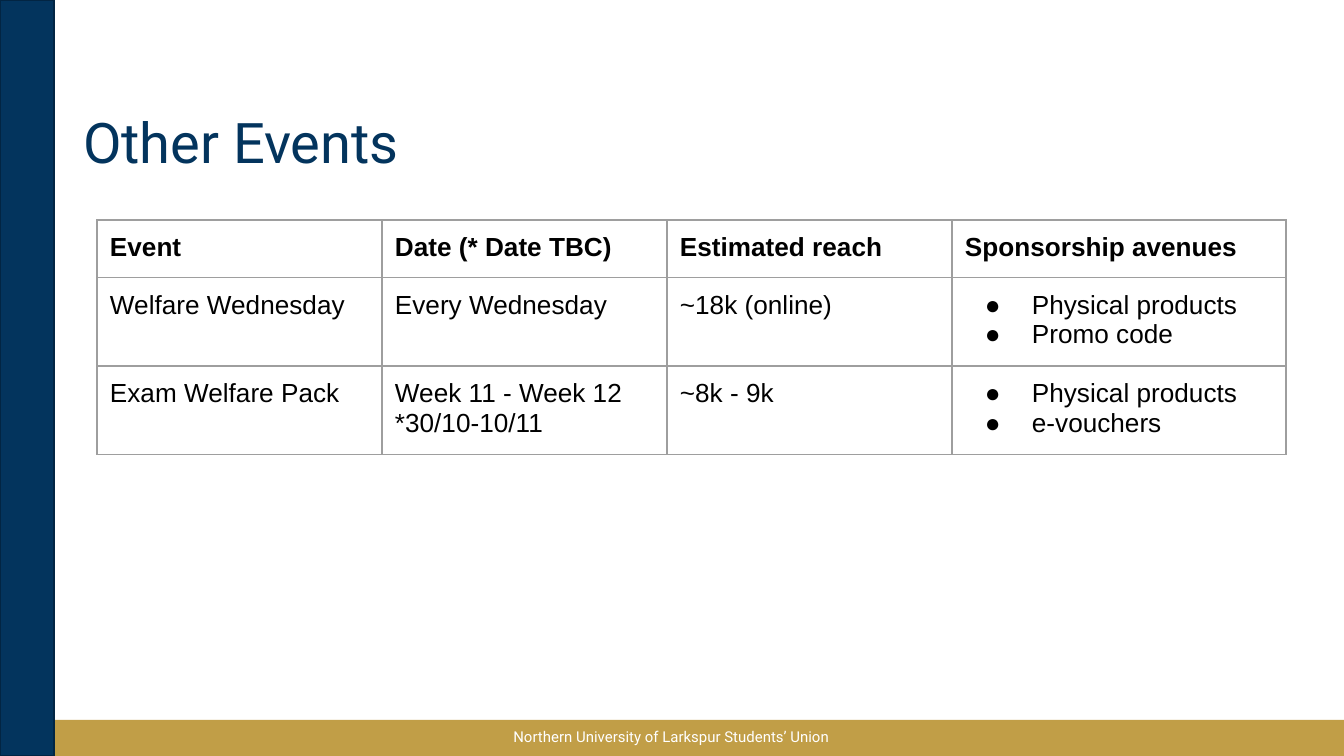
import pptx
import pptx.dml.color
import pptx.enum.shapes
import pptx.enum.text
import pptx.oxml.ns
import pptx.util
from lxml import etree

# Content
TITLE = "Other Events"
FOOTER = "Northern University of Larkspur Students’ Union"
HEADINGS = ["Event", "Date (* Date TBC)", "Estimated reach", "Sponsorship avenues"]
EVENTS = [
    (["Welfare Wednesday"], ["Every Wednesday"], ["~18k (online)"],
     ["Physical products", "Promo code"]),
    (["Exam Welfare Pack"], ["Week 11 - Week 12", "*30/10-10/11"], ["~8k - 9k"],
     ["Physical products", "e-vouchers"]),
]
AVENUES_COLUMN = 3

COLORS = {"navy": "03345D", "navy_edge": "022543", "gold": "C19E47",
          "white": "FFFFFF", "black": "000000", "grid": "9E9E9E"}

# Layout in px
SLIDE_W, SLIDE_H = 1344, 756
SIDEBAR_W = 54
FOOTER_TOP = 720
COLUMN_WIDTHS = [285, 285, 285, 334]
ROW_HEIGHTS = [56, 86, 86]
CELL_MARGIN = 13
BULLET_INDENT, BULLET_HANG = 67, 47
EMU_PER_PX = 914400 / 134.4


def px(length):
    return pptx.util.Emu(round(length * EMU_PER_PX))


def rgb(name):
    return pptx.dml.color.RGBColor.from_string(COLORS[name])


def set_bullet(paragraph):
    props = paragraph._p.get_or_add_pPr()
    props.set("marL", str(px(BULLET_INDENT)))
    props.set("indent", str(-px(BULLET_HANG)))
    color = etree.SubElement(props, pptx.oxml.ns.qn("a:buClr"))
    etree.SubElement(color, pptx.oxml.ns.qn("a:srgbClr"), val=COLORS["black"])
    etree.SubElement(props, pptx.oxml.ns.qn("a:buFont"), typeface="Arial")
    etree.SubElement(props, pptx.oxml.ns.qn("a:buChar"), char="●")


def write(frame, lines, size=14, font="Arial", color="black", bold=False,
          align="LEFT", anchor="TOP", margins=(10, 5), spacing=None, bullets=False):
    frame.word_wrap = True
    frame.vertical_anchor = pptx.enum.text.MSO_ANCHOR[anchor]
    frame.margin_left = frame.margin_right = px(margins[0])
    frame.margin_top = frame.margin_bottom = px(margins[1])
    for index, line in enumerate(lines):
        paragraph = frame.add_paragraph() if index else frame.paragraphs[0]
        paragraph.alignment = pptx.enum.text.PP_ALIGN[align]
        if spacing:
            paragraph.line_spacing = spacing
        if bullets:
            set_bullet(paragraph)
        run = paragraph.add_run()
        run.text = line
        run.font.size = pptx.util.Pt(size)
        run.font.name = font
        run.font.bold = bold
        run.font.color.rgb = rgb(color)


def add_bar(slide, left, top, width, height, fill, edge=None):
    bar = slide.shapes.add_shape(pptx.enum.shapes.MSO_SHAPE.RECTANGLE,
                                 px(left), px(top), px(width), px(height))
    bar.shadow.inherit = False
    bar.fill.solid()
    bar.fill.fore_color.rgb = rgb(fill)
    if edge:
        bar.line.color.rgb = rgb(edge)
        bar.line.width = pptx.util.Pt(1)
    else:
        bar.line.fill.background()


def set_borders(cell):
    props = cell._tc.get_or_add_tcPr()
    for side in ("lnL", "lnR", "lnT", "lnB"):
        line = etree.SubElement(props, pptx.oxml.ns.qn("a:" + side),
                                w=str(pptx.util.Pt(0.75)))
        fill = etree.SubElement(line, pptx.oxml.ns.qn("a:solidFill"))
        etree.SubElement(fill, pptx.oxml.ns.qn("a:srgbClr"), val=COLORS["grid"])


def add_events_table(slide):
    rows = [[[heading] for heading in HEADINGS], *EVENTS]
    events = slide.shapes.add_table(
        len(rows), len(HEADINGS), px(97), px(220),
        px(sum(COLUMN_WIDTHS)), px(sum(ROW_HEIGHTS))).table
    events.first_row = events.horz_banding = False
    for column, width in zip(events.columns, COLUMN_WIDTHS):
        column.width = px(width)
    for r, (row, height) in enumerate(zip(rows, ROW_HEIGHTS)):
        events.rows[r].height = px(height)
        for c, lines in enumerate(row):
            cell = events.cell(r, c)
            set_borders(cell)
            cell.fill.background()
            cell.margin_left = cell.margin_right = px(CELL_MARGIN)
            cell.margin_top = cell.margin_bottom = px(CELL_MARGIN)
            write(cell.text_frame, lines, bold=r == 0,
                  margins=(CELL_MARGIN, CELL_MARGIN),
                  bullets=r > 0 and c == AVENUES_COLUMN)


def main():
    deck = pptx.Presentation()
    deck.slide_width, deck.slide_height = px(SLIDE_W), px(SLIDE_H)
    slide = deck.slides.add_slide(deck.slide_layouts[5])

    # Footer band and sidebar
    add_bar(slide, 0, FOOTER_TOP, SLIDE_W, SLIDE_H - FOOTER_TOP, "gold")
    footer = slide.shapes.add_textbox(px(359), px(723), px(625), px(28))
    write(footer.text_frame, [FOOTER], size=8, font="Roboto", color="white",
          align="CENTER")
    add_bar(slide, 0, 0, SIDEBAR_W, SLIDE_H, "navy", edge="navy_edge")

    # Title
    title = slide.shapes.title
    title.left, title.top, title.width, title.height = map(px, (73, 55, 1188, 183))
    title.text_frame.auto_size = pptx.enum.text.MSO_AUTO_SIZE.NONE
    write(title.text_frame, [TITLE], size=30, font="Roboto", color="navy",
          anchor="MIDDLE", spacing=0.85)

    # Events
    add_events_table(slide)
    deck.save("out.pptx")


if __name__ == "__main__":
    main()
